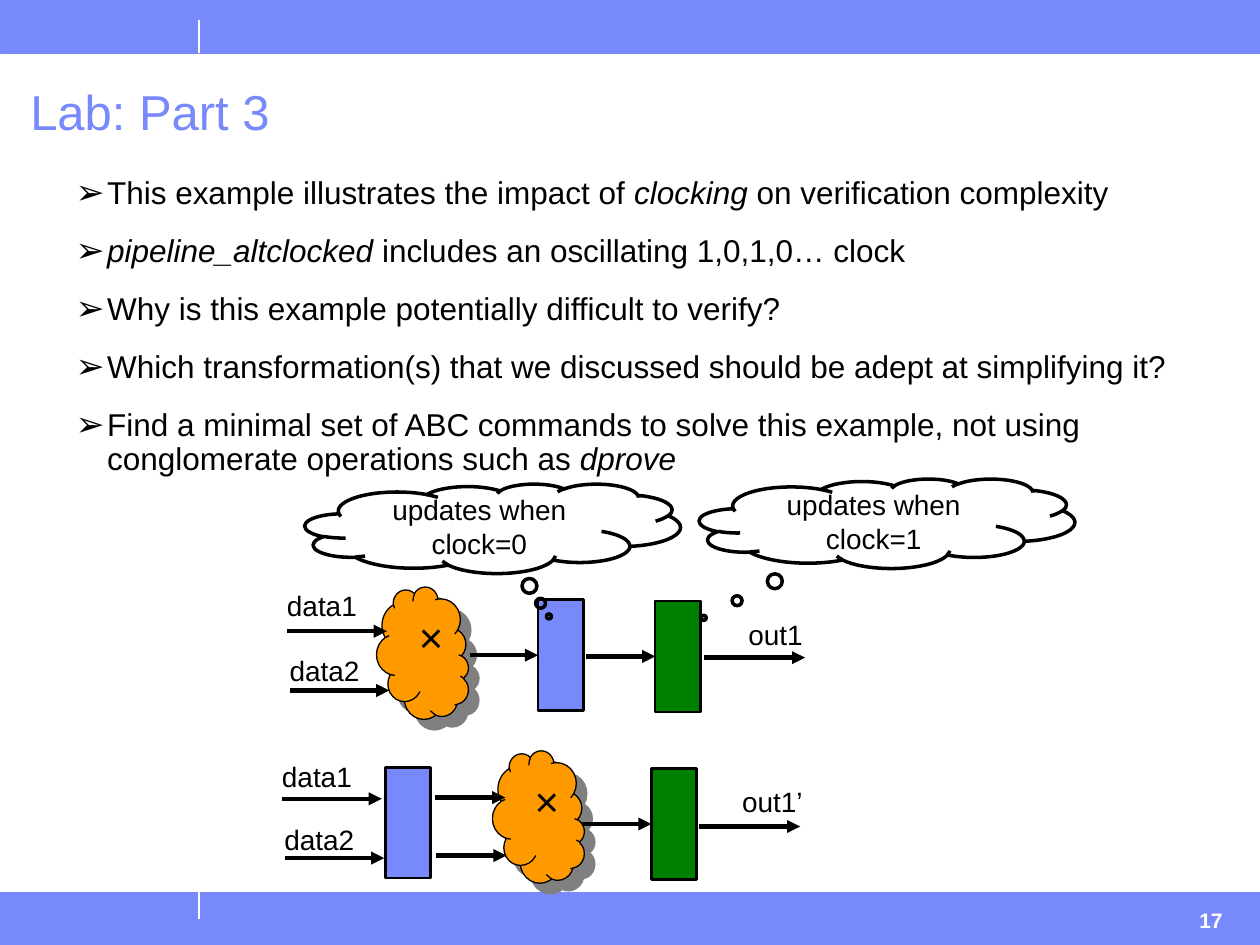
import pptx
import pptx.dml.color
import pptx.enum.shapes
import pptx.enum.text
import pptx.oxml.ns
import pptx.util
import lxml.etree

Inches = pptx.util.Inches
Pt = pptx.util.Pt
SHAPE = pptx.enum.shapes.MSO_SHAPE
ALIGN = pptx.enum.text.PP_ALIGN
ANCHOR = pptx.enum.text.MSO_ANCHOR
FIT = pptx.enum.text.MSO_AUTO_SIZE
qn = pptx.oxml.ns.qn

BLUE, GREEN, ORANGE = "7889FB", "008000", "FF9900"
BLACK, WHITE, GRAY = "000000", "FFFFFF", "808080"

TITLE = "Lab: Part 3"
BULLETS = [
    [("This example illustrates the impact of ", False), ("clocking", True),
     (" on verification complexity", False)],
    [("pipeline_altclocked ", True), ("includes an oscillating 1,0,1,0… clock", False)],
    [("Why is this example potentially difficult to verify?", False)],
    [("Which transformation(s) that we discussed should be adept at simplifying it?", False)],
    [("Find a minimal set of ABC commands to solve this example, not using "
      "conglomerate operations such as ", False), ("dprove", True)],
]
BAND_TOPS = [0, 7.08]
BAND_TICKS = [(0.16, 0.42), (7.08, 7.29)]
REGISTER_SIZE = (0.36, 0.88)
CLOUD_SIZE = (1.05, 0.73)
CALLOUT_SIZE = (2.98, 0.71)
CIRCUITS = [
    {"cloud": (2.83, 4.82),
     "registers": [(4.27, 4.76, BLUE), (5.2, 4.77, GREEN)],
     "arrows": [(2.28, 5.01, 3.07, None), (2.3, 5.48, 3.09, None),
                (3.73, 5.22, 4.28, 0), (4.65, 5.21, 5.2, 1), (5.59, 5.22, 6.39, None)],
     "labels": [("data1", 2.18, 4.62, 0.75), ("data2", 2.2, 5.14, 0.75),
                ("out1", 5.84, 4.85, 0.63)]},
    {"cloud": (3.75, 6.12),
     "registers": [(3.06, 6.09, BLUE), (5.17, 6.1, GREEN)],
     "arrows": [(2.24, 6.34, 3.03, None), (2.26, 6.81, 3.05, None),
                (3.45, 6.33, 4.01, None), (3.46, 6.79, 4.02, None),
                (4.62, 6.55, 5.18, 1), (5.55, 6.56, 6.35, None)],
     "labels": [("data1", 2.14, 5.98, 0.75), ("data2", 2.16, 6.48, 0.75),
                ("out1’", 5.79, 6.18, 0.68)]},
]
CALLOUTS = [
    ("updates when clock=1", 5.55, 3.8, (-0.488, 1.055)),
    ("updates when clock=0", 2.42, 3.84, (0.15, 0.982)),
]


def color(value):
    return pptx.dml.color.RGBColor.from_string(value)


def child(parent, tag, **attributes):
    return lxml.etree.SubElement(parent, qn(tag), attributes)


def add_span(para, text, size, tint=BLACK, bold=False, italic=False):
    span = para.add_run()
    span.text = text
    span.font.name = "Arial"
    span.font.size = Pt(size)
    span.font.bold = bold
    span.font.italic = italic
    span.font.color.rgb = color(tint)


def place(item, left, top, width, height):
    item.left, item.top = Inches(left), Inches(top)
    item.width, item.height = Inches(width), Inches(height)


def add_shape(page, kind, left, top, size, fill, line, weight):
    shape = page.shapes.add_shape(kind, Inches(left), Inches(top), *map(Inches, size))
    shape.shadow.inherit = False
    if fill:
        shape.fill.solid()
        shape.fill.fore_color.rgb = color(fill)
    else:
        shape.fill.background()
    shape.line.color.rgb = color(line)
    shape.line.width = Pt(weight)
    return shape


def add_line(page, start, end, tint, weight, arrow=False):
    line = page.shapes.add_connector(
        pptx.enum.shapes.MSO_CONNECTOR.STRAIGHT, *map(Inches, start + end))
    line.line.color.rgb = color(tint)
    line.line.width = Pt(weight)
    if arrow:
        child(line.line._get_or_add_ln(), "a:tailEnd", type="triangle")
    child(line._element.spPr, "a:effectLst")
    return line


def add_text(page, text, left, top, width, height, size, tint, align, bold=False):
    box = page.shapes.add_textbox(*map(Inches, (left, top, width, height)))
    para = box.text_frame.paragraphs[0]
    para.alignment = align
    add_span(para, text, size, tint, bold)
    return box


def add_label(page, text, left, top, width):
    box = add_text(page, text, left, top, width, 0.37, 16, BLACK, ALIGN.CENTER)
    frame = box.text_frame
    frame.word_wrap = False
    frame.auto_size = FIT.SHAPE_TO_FIT_TEXT
    frame.margin_left = frame.margin_right = Inches(0.05)


def add_bands(page):
    for top in BAND_TOPS:
        add_shape(page, SHAPE.RECTANGLE, 0, top, (10, 0.42), BLUE, BLUE, 0.25)
    for top, bottom in BAND_TICKS:
        add_line(page, (1.58, top), (1.58, bottom), WHITE, 0.75)
    add_text(page, "17", 9.42, 7.15, 0.49, 0.35, 12, WHITE, ALIGN.LEFT, True)


def fill_title(box):
    place(box, 0.14, 0.66, 9.83, 0.5)
    frame = box.text_frame
    frame.auto_size = FIT.NONE
    frame.vertical_anchor = ANCHOR.MIDDLE
    para = frame.paragraphs[0]
    para.alignment = ALIGN.LEFT
    para.line_spacing = 0.9
    add_span(para, TITLE, 28, BLUE)


def fill_body(box):
    place(box, 0.5, 1.36, 9.26, 5.73)
    frame = box.text_frame
    frame.auto_size = FIT.NONE
    for index, spans in enumerate(BULLETS):
        para = frame.add_paragraph() if index else frame.paragraphs[0]
        properties = para._p.get_or_add_pPr()
        properties.set("marL", str(Inches(0.25)))
        properties.set("indent", str(Inches(-0.25)))
        child(child(properties, "a:buClr"), "a:srgbClr", val=BLACK)
        child(properties, "a:buSzPct", val="110000")
        child(properties, "a:buFont", typeface="Arial")
        child(properties, "a:buChar", char="➢")
        para.line_spacing = 0.9
        para.space_before = Pt(6.8 if index else 0)
        para.space_after = Pt(6.8)
        for text, italic in spans:
            add_span(para, text, 18, italic=italic)


def add_logic_cloud(page, left, top):
    cloud = add_shape(page, SHAPE.CLOUD, left, top, CLOUD_SIZE, ORANGE, BLACK, 0.75)
    cloud.rotation = 90
    effects = cloud._element.spPr.find(qn("a:effectLst"))
    shadow = child(effects, "a:outerShdw", dist=str(Pt(8.5)), dir="2700000",
                   algn="ctr", rotWithShape="0")
    child(shadow, "a:srgbClr", val=GRAY)
    frame = cloud.text_frame
    frame.margin_left = frame.margin_right = Inches(0.05)
    frame.margin_top = frame.margin_bottom = Inches(0.1)
    frame.vertical_anchor = ANCHOR.TOP
    body = frame._txBody.bodyPr
    body.set("rot", "10800000")
    body.set("vert", "eaVert")
    frame.paragraphs[0].alignment = ALIGN.CENTER
    add_span(frame.paragraphs[0], "×", 24)


def add_circuit(page, circuit):
    add_logic_cloud(page, *circuit["cloud"])
    registers = [add_shape(page, SHAPE.RECTANGLE, left, top, REGISTER_SIZE, fill, BLACK, 1.5)
                 for left, top, fill in circuit["registers"]]
    for left, top, right, target in circuit["arrows"]:
        arrow = add_line(page, (left, top), (right, top), BLACK, 2.5, True)
        if target is not None:
            arrow.end_connect(registers[target], 1)
            arrow.begin_y = arrow.end_y
    for label in circuit["labels"]:
        add_label(page, *label)


def add_callout(page, text, left, top, pointer):
    callout = add_shape(page, SHAPE.CLOUD_CALLOUT, left, top, CALLOUT_SIZE, None, BLACK, 2)
    callout.adjustments[0], callout.adjustments[1] = pointer
    frame = callout.text_frame
    frame.word_wrap = True
    frame.vertical_anchor = ANCHOR.MIDDLE
    frame.paragraphs[0].alignment = ALIGN.CENTER
    add_span(frame.paragraphs[0], text, 16)


def main():
    deck = pptx.Presentation()
    deck.slide_width, deck.slide_height = Inches(10), Inches(7.5)
    page = deck.slides.add_slide(deck.slide_layouts[1])
    fill_title(page.shapes.title)
    fill_body(page.placeholders[1])
    add_bands(page)
    for circuit in CIRCUITS:
        add_circuit(page, circuit)
    for callout in CALLOUTS:
        add_callout(page, *callout)
    deck.save("out.pptx")


if __name__ == "__main__":
    main()
